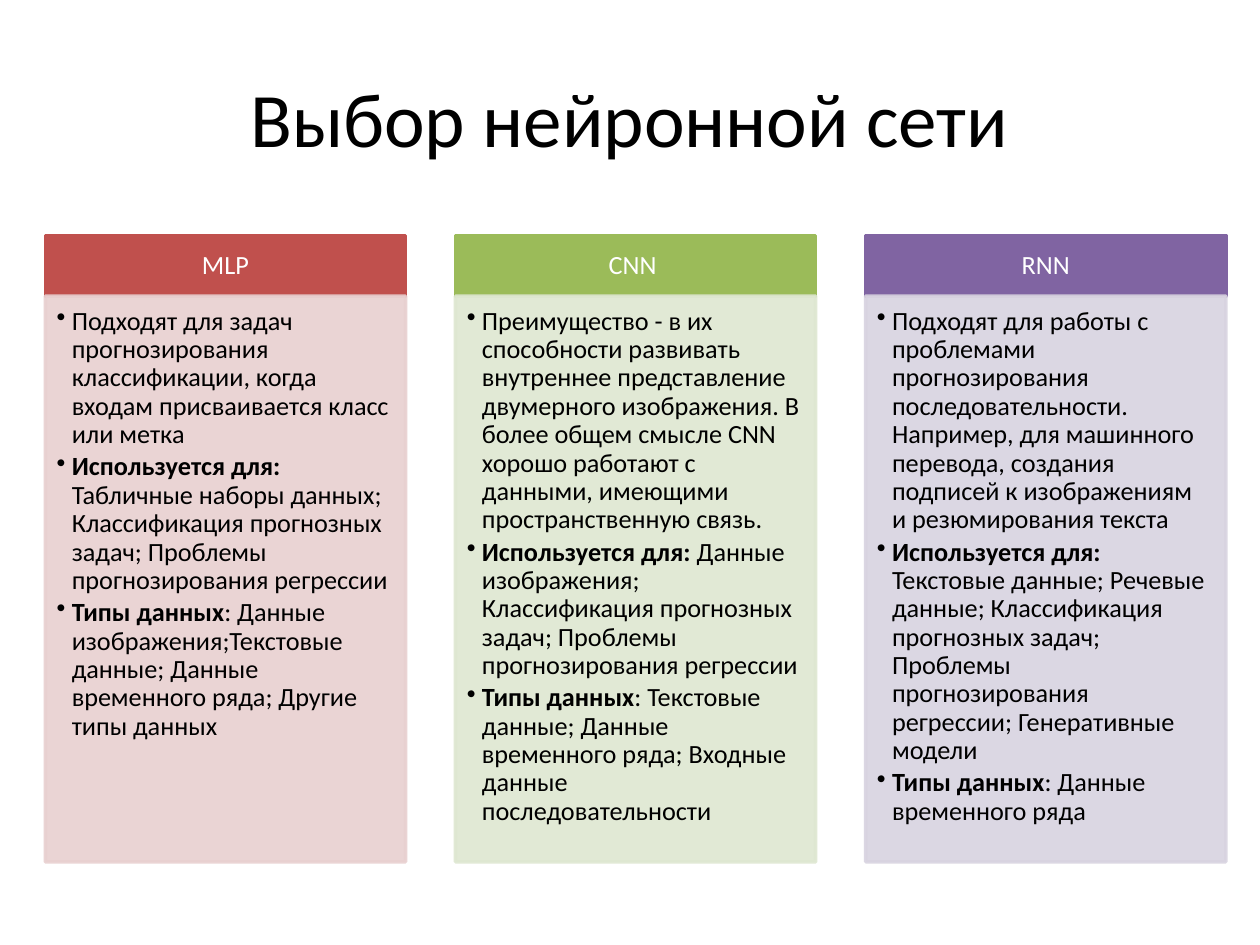
from lxml import etree
from pptx import Presentation
from pptx import util as u
from pptx.dml import color
from pptx.enum import shapes, text
from pptx.oxml import ns

FONT = "Calibri"
BODY_SIZE = 15
HEADER_HEIGHT = 0.48
USED_FOR = "Используется для: "
DATA_TYPES = "Типы данных"

# Header, header colour, body colour, then purpose, uses and data types
NETWORKS = [
    ("MLP", "C0504D", "E8D0D0",
     "Подходят для задач прогнозирования классификации, когда входам "
     "присваивается класс или метка",
     "Табличные наборы данных; Классификация прогнозных задач; "
     "Проблемы прогнозирования регрессии",
     ": Данные изображения;Текстовые данные; Данные временного ряда; "
     "Другие типы данных"),
    ("CNN ", "9BBB59", "DEE7D1",
     "Преимущество - в их способности развивать внутреннее представление "
     "двумерного изображения. В более общем смысле CNN хорошо работают "
     "с данными, имеющими пространственную связь.",
     "Данные изображения; Классификация прогнозных задач; "
     "Проблемы прогнозирования регрессии",
     ": Текстовые данные; Данные временного ряда; "
     "Входные данные последовательности"),
    ("RNN", "8064A2", "D8D3E0",
     "Подходят для работы с проблемами прогнозирования последовательности. "
     "Например, для машинного перевода, создания подписей к изображениям "
     "и резюмирования текста",
     "Текстовые данные; Речевые данные; Классификация прогнозных задач; "
     "Проблемы прогнозирования регрессии; Генеративные модели",
     ": Данные временного ряда"),
]


def rgb(value):
    return color.RGBColor.from_string(value)


def set_alpha(shape, percent):
    for element in shape._element.spPr.iter(ns.qn("a:srgbClr")):
        etree.SubElement(element, ns.qn("a:alpha"), val=str(percent * 1000))


def set_bullet(paragraph, indent):
    properties = paragraph._p.get_or_add_pPr()
    properties.set("marL", str(u.Inches(indent)))
    properties.set("indent", str(-u.Inches(indent)))
    etree.SubElement(properties, ns.qn("a:buChar"), char="•")


def write_text(frame, paragraphs, size=BODY_SIZE, ink="000000",
               align=text.PP_ALIGN.LEFT, anchor=text.MSO_ANCHOR.TOP,
               insets=(0.1, 0.05, 0.1, 0.05), line_spacing=None,
               space_after=0, bullet_indent=None):
    """Each paragraph is a list of (wording, bold) runs."""
    frame.word_wrap = True
    frame.auto_size = text.MSO_AUTO_SIZE.NONE
    frame.vertical_anchor = anchor
    (frame.margin_left, frame.margin_top,
     frame.margin_right, frame.margin_bottom) = map(u.Inches, insets)
    for index, runs in enumerate(paragraphs):
        paragraph = frame.add_paragraph() if index else frame.paragraphs[0]
        paragraph.alignment = align
        paragraph.line_spacing = line_spacing
        paragraph.space_after = u.Pt(space_after)
        if bullet_indent is not None:
            paragraph.level = 1
            set_bullet(paragraph, bullet_indent)
        for wording, bold in runs:
            run = paragraph.add_run()
            run.text = wording
            run.font.name = FONT
            run.font.size = u.Pt(size)
            run.font.bold = bold
            run.font.color.rgb = rgb(ink)


def add_panel(slide, box, fill):
    shape = slide.shapes.add_shape(shapes.MSO_SHAPE.RECTANGLE,
                                   *map(u.Inches, box))
    shape.shadow.inherit = False
    shape.fill.solid()
    shape.fill.fore_color.rgb = rgb(fill)
    shape.line.color.rgb = rgb(fill)
    shape.line.width = u.Pt(2)
    return shape


def add_title(slide, box, wording):
    title = slide.shapes.title
    title.left, title.top, title.width, title.height = map(u.Inches, box)
    write_text(title.text_frame, [[(wording, False)]], size=44,
               align=text.PP_ALIGN.CENTER, anchor=text.MSO_ANCHOR.MIDDLE)


def add_network_column(slide, box, network):
    left, top, width, height = box
    name, header_fill, body_fill, purpose, uses, data_types = network

    # Header
    header = add_panel(slide, (left, top, width, HEADER_HEIGHT), header_fill)
    write_text(header.text_frame, [[(name, False)]], ink="FFFFFF",
               align=text.PP_ALIGN.CENTER, anchor=text.MSO_ANCHOR.MIDDLE,
               insets=(0.12, 0.07, 0.12, 0.07), line_spacing=0.9)

    # Bulleted body
    body = add_panel(slide, (left, top + HEADER_HEIGHT, width,
                             height - HEADER_HEIGHT), body_fill)
    set_alpha(body, 90)
    write_text(body.text_frame,
               [[(purpose, False)],
                [(USED_FOR, True), (uses, False)],
                [(DATA_TYPES, True), (data_types, False)]],
               insets=(0.09, 0.09, 0.12, 0.13), line_spacing=0.9,
               space_after=2.25, bullet_indent=0.12)


def add_comparison(slide, box, column_width):
    left, top, width, height = box
    step = (width - column_width) / (len(NETWORKS) - 1)
    for index, network in enumerate(NETWORKS):
        add_network_column(
            slide, (left + index * step, top, column_width, height), network)


def main():
    presentation = Presentation()
    presentation.slide_width = u.Inches(10)
    presentation.slide_height = u.Inches(7.5)
    slide = presentation.slides.add_slide(presentation.slide_layouts[5])
    add_title(slide, (0.5, 0.3, 9, 1.25), "Выбор нейронной сети")
    add_comparison(slide, (0.36, 1.87, 9.37, 4.97), column_width=2.86)
    presentation.save("out.pptx")


if __name__ == "__main__":
    main()
